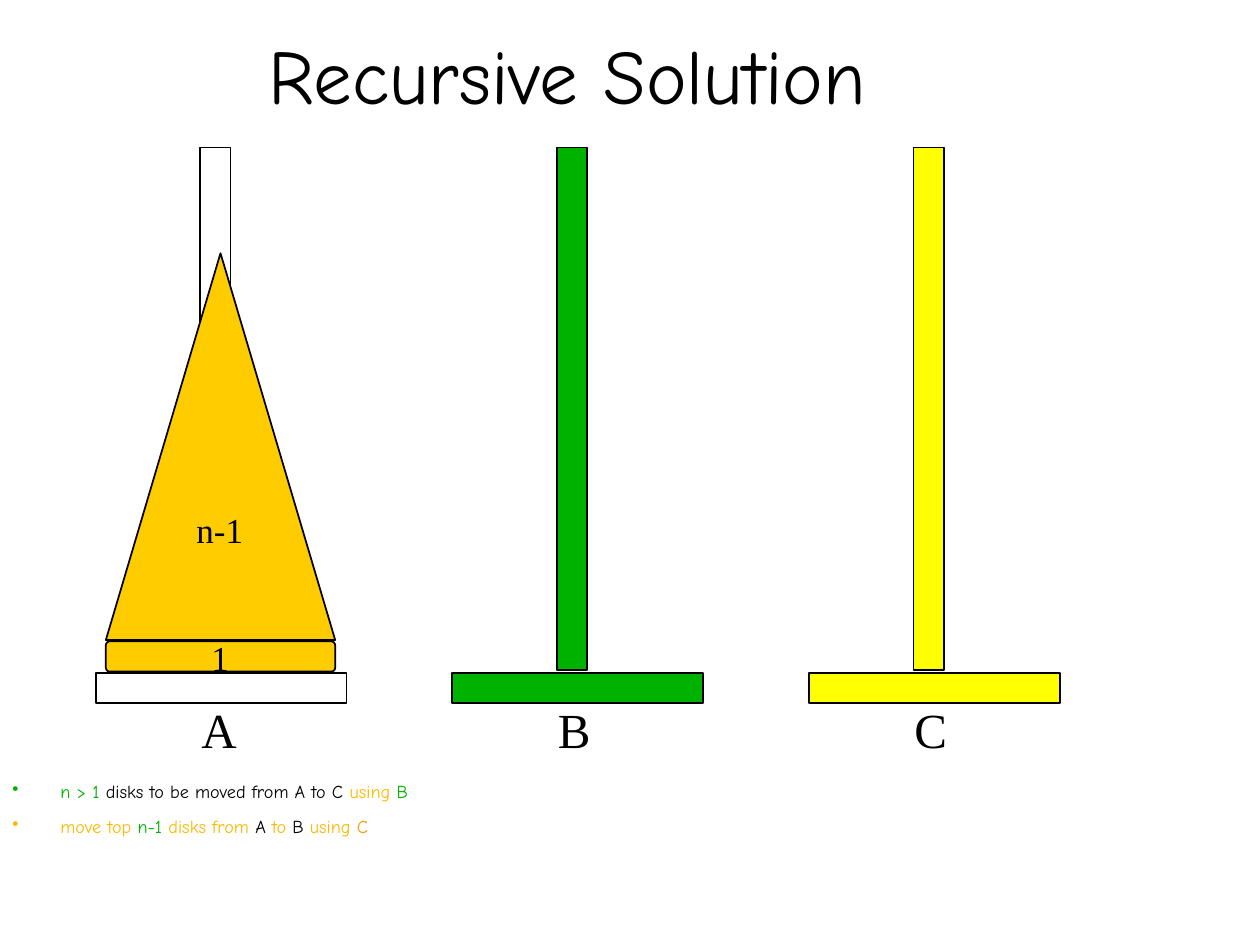
"""Build the Recursive Solution slide: three pegs, a stack of disks and the steps."""
from dataclasses import dataclass

from lxml.etree import SubElement
from pptx import Presentation
from pptx.dml.color import RGBColor
from pptx.enum.shapes import MSO_SHAPE
from pptx.enum.text import MSO_ANCHOR, MSO_AUTO_SIZE, PP_ALIGN
from pptx.oxml.ns import qn
from pptx.util import Inches, Pt


@dataclass(frozen=True)
class Theme:
    black: str = "000000"
    white: str = "FFFFFF"
    green: str = "00B200"
    yellow: str = "FFFF00"
    disk: str = "FFCC00"
    amber: str = "FFB800"
    orange: str = "FF9900"
    hand: str = "Comic Neue"
    serif: str = "Times New Roman"
    title: float = 44
    peg: float = 28
    count: float = 20
    step: float = 10.4


T = Theme()


def add_block(shapes, kind, box, color):
    sp = shapes.add_shape(kind, *map(Inches, box))
    sp.shadow.inherit = False
    sp.fill.solid()
    sp.fill.fore_color.rgb = RGBColor.from_string(color)
    sp.line.color.rgb = RGBColor.from_string(T.black)
    sp.line.width = Pt(1)
    return sp


def add_text(shapes, box, lines, font, frame):
    tf = shapes.add_textbox(*map(Inches, box)).text_frame
    for name, value in {"word_wrap": True, **frame}.items():
        setattr(tf, name, value)
    for i, runs in enumerate(lines):
        p = tf.add_paragraph() if i else tf.paragraphs[0]
        for text, color in runs:
            r = p.add_run()
            r.text = text
            for name, value in font.items():
                setattr(r.font, name, value)
            r.font.color.rgb = RGBColor.from_string(color)
    return tf


prs = Presentation()
prs.slide_width, prs.slide_height = Inches(10), Inches(7.5)
s = prs.slides.add_slide(prs.slide_layouts[6])

title_font = {"name": T.hand, "size": Pt(T.title)}
peg_font = {"name": T.serif, "size": Pt(T.peg)}
count_font = {"name": T.serif, "size": Pt(T.count)}
step_font = {"name": T.hand, "size": Pt(T.step)}
label_frame = {"auto_size": MSO_AUTO_SIZE.SHAPE_TO_FIT_TEXT}

tf = add_text(s.shapes, (0.75, 0.17, 7.51, 0.83), [[("Recursive Solution", T.black)]],
              title_font, {"vertical_anchor": MSO_ANCHOR.BOTTOM})
tf.paragraphs[0].alignment = PP_ALIGN.CENTER

for i, (name, color) in enumerate([("A", T.white), ("B", T.green), ("C", T.yellow)]):
    left = 0.76 + 2.83 * i
    peg = s.shapes.add_group_shape().shapes
    add_block(peg, MSO_SHAPE.RECTANGLE, (left, 5.34, 1.99, 0.24), color)
    add_block(peg, MSO_SHAPE.RECTANGLE, (left + 0.83, 1.17, 0.24, 4.15), color)
    add_text(peg, (left + 0.74, 5.5, 1, 0.57), [[(name, T.black)]], peg_font, label_frame)

disk = add_block(s.shapes, MSO_SHAPE.ROUNDED_RECTANGLE, (0.84, 5.09, 1.82, 0.24), T.disk)
disk.adjustments[0] = 0.125
add_block(s.shapes, MSO_SHAPE.ISOSCELES_TRIANGLE, (0.84, 2.01, 1.82, 3.07), T.disk)
for text, left, top in [("1", 1.58, 5), ("n-1", 1.46, 3.99)]:
    add_text(s.shapes, (left, top, 0.75, 0.43), [[(text, T.black)]], count_font, label_frame)

steps = [
    [("n > 1", T.green), (" disks to be moved from A to C ", T.black),
     ("using ", T.amber), ("B", T.green)],
    [("move top ", T.amber), ("n-1 ", T.green), ("disks from ", T.amber), ("A ", T.black),
     ("to ", T.amber), ("B", T.black), (" using ", T.amber), ("C", T.orange)],
]
tf = add_text(s.shapes, (0, 6.14, 9.92, 0.61), steps, step_font, {})
for i, (p, runs) in enumerate(zip(tf.paragraphs, steps)):
    p.space_before = Pt(8 if i else 0)
    pPr = p._p.get_or_add_pPr()
    pPr.set("marL", str(Inches(0.38)))
    pPr.set("indent", str(Inches(-0.38)))
    SubElement(SubElement(pPr, qn("a:buClr")), qn("a:srgbClr"), val=runs[0][1])
    SubElement(pPr, qn("a:buChar"), char="•")

prs.save("out.pptx")
